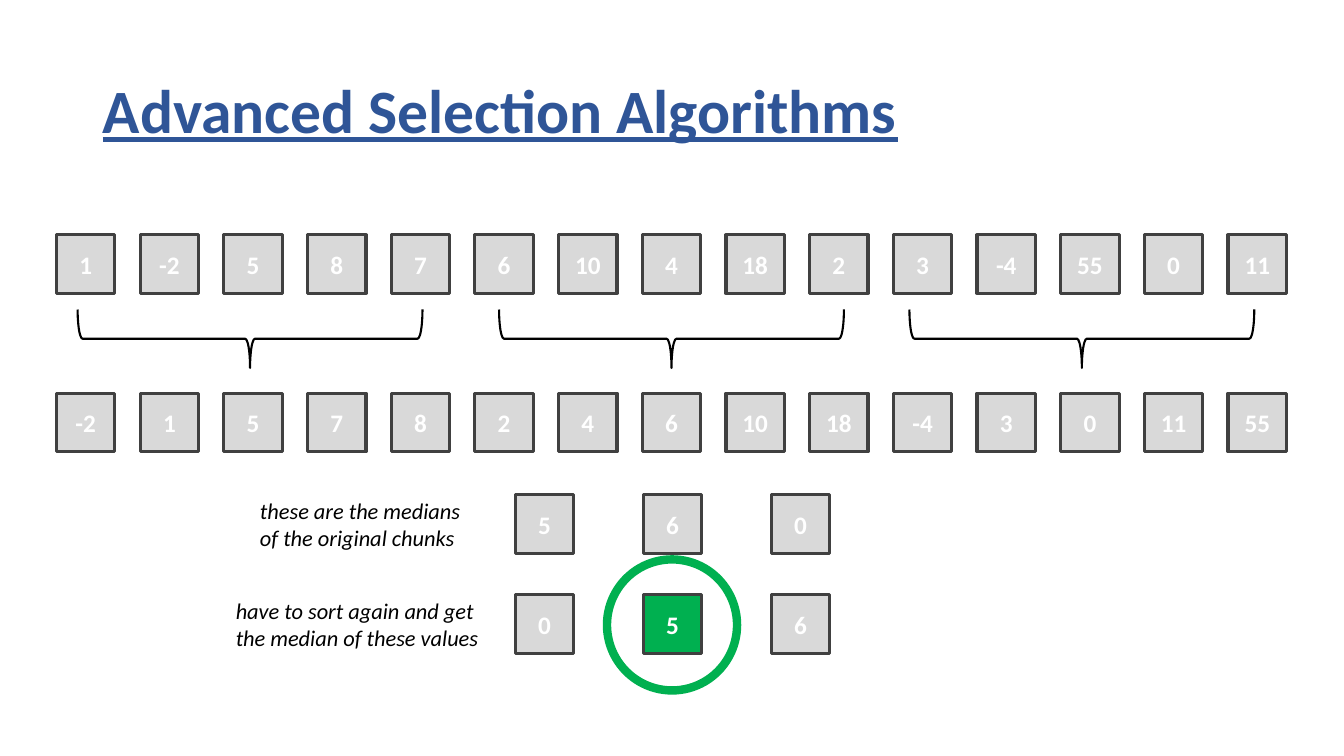
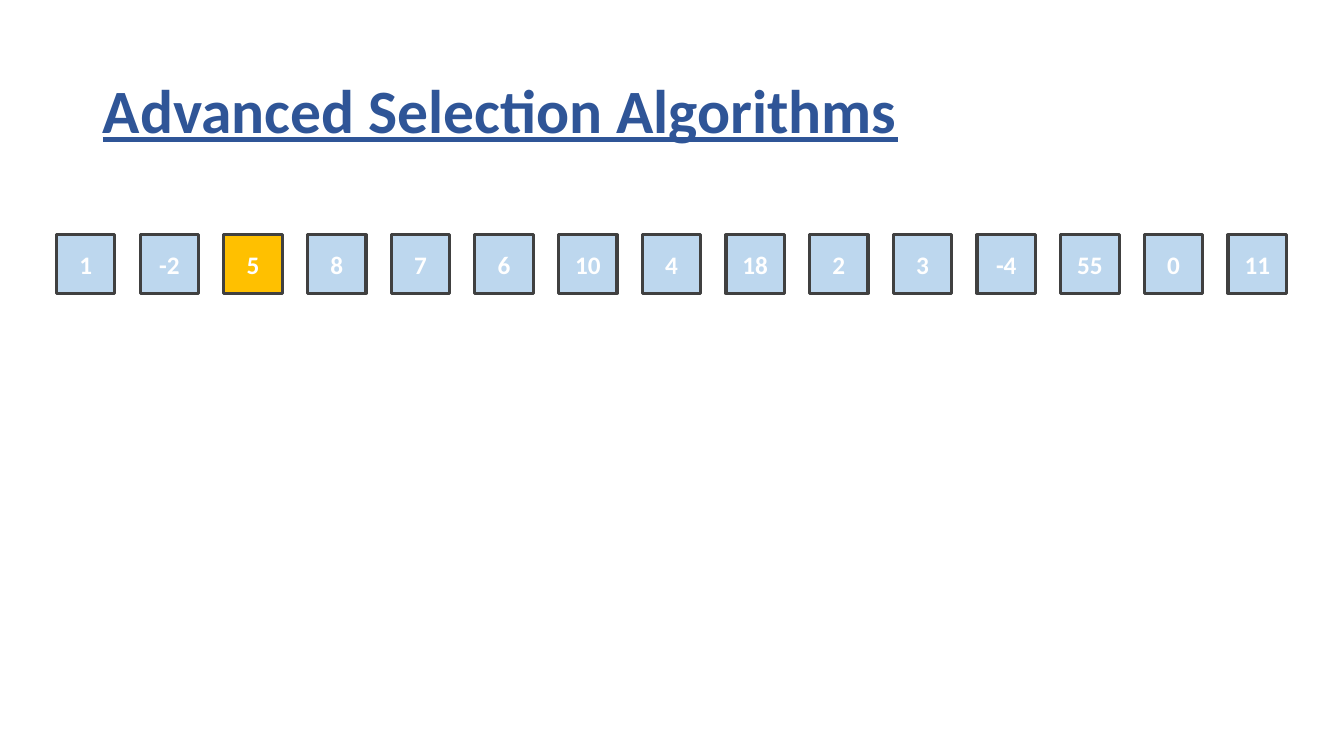
import pptx
import pptx.dml.color
import pptx.enum.shapes
import pptx.enum.text
import pptx.util

Inches = pptx.util.Inches
Pt = pptx.util.Pt
MSO_SHAPE = pptx.enum.shapes.MSO_SHAPE
PP_ALIGN = pptx.enum.text.PP_ALIGN
MSO_ANCHOR = pptx.enum.text.MSO_ANCHOR
MSO_AUTO_SIZE = pptx.enum.text.MSO_AUTO_SIZE

COLORS = {
    "title": "2F5597",
    "text": "000000",
    "white": "FFFFFF",
    "border": "404040",
    "gray": "D9D9D9",
    "blue": "BDD7EE",
    "green": "00B050",
    "gold": "FFC000",
}
FONT = "Calibri"
TITLE = "Advanced Selection Algorithms"

CELL = 0.58
ROW_LEFT, ROW_PITCH = 0.56, 0.83
MEDIAN_LEFT, MEDIAN_PITCH = 5.11, 1.27
INPUT_TOP = 2.33

VALUES = [1, -2, 5, 8, 7, 6, 10, 4, 18, 2, 3, -4, 55, 0, 11]
SORTED_CHUNKS = [-2, 1, 5, 7, 8, 2, 4, 6, 10, 18, -4, 3, 0, 11, 55]


def rgb(name):
    return pptx.dml.color.RGBColor.from_string(COLORS[name])


class Deck:
    """Holds the shared style and the current slide."""

    def __init__(self):
        self.prs = pptx.Presentation()
        self.prs.slide_width = Inches(13.33)
        self.prs.slide_height = Inches(7.5)
        self.slide = None

    def style(self, p, size, color, **flags):
        p.font.name = FONT
        p.font.size = Pt(size)
        p.font.color.rgb = rgb(color)
        for flag, value in flags.items():
            setattr(p.font, flag, value)

    def add_slide(self, title):
        self.slide = self.prs.slides.add_slide(self.prs.slide_layouts[5])
        sp = self.slide.shapes.title
        sp.left, sp.top = Inches(0.92), Inches(0.4)
        sp.width, sp.height = Inches(11.5), Inches(1.45)
        tf = sp.text_frame
        tf.text = title
        tf.auto_size = MSO_AUTO_SIZE.NONE
        tf.vertical_anchor = MSO_ANCHOR.MIDDLE
        p = tf.paragraphs[0]
        p.alignment = PP_ALIGN.LEFT
        p.line_spacing = 0.9
        self.style(p, 44, "title", bold=True, underline=True)

    def shape(self, kind, left, top, width, height, line, weight, fill=None):
        sp = self.slide.shapes.add_shape(
            kind, Inches(left), Inches(top), Inches(width), Inches(height))
        sp.shadow.inherit = False
        if fill:
            sp.fill.solid()
            sp.fill.fore_color.rgb = rgb(fill)
        else:
            sp.fill.background()
        sp.line.color.rgb = rgb(line)
        sp.line.width = Pt(weight)
        return sp

    def cell(self, value, left, top, fill):
        sp = self.shape(MSO_SHAPE.RECTANGLE, left, top, CELL, CELL,
                        "border", 2.25, fill)
        tf = sp.text_frame
        tf.text = str(value)
        tf.vertical_anchor = MSO_ANCHOR.MIDDLE
        p = tf.paragraphs[0]
        p.alignment = PP_ALIGN.CENTER
        self.style(p, 18, "white", bold=True)

    def row(self, values, top, fill="gray", left=ROW_LEFT, pitch=ROW_PITCH,
            marked=None, mark_fill=None):
        for i, value in enumerate(values):
            self.cell(value, left + i * pitch, top,
                      mark_fill if i == marked else fill)

    def brace(self, left):
        sp = self.shape(MSO_SHAPE.LEFT_BRACE, left, 1.65, CELL, 3.42,
                        "text", 1.5)
        sp.rotation = 270

    def note(self, lines, left, top, width):
        sp = self.slide.shapes.add_textbox(
            Inches(left), Inches(top), Inches(width), Inches(0.64))
        tf = sp.text_frame
        tf.word_wrap = False
        tf.auto_size = MSO_AUTO_SIZE.SHAPE_TO_FIT_TEXT
        tf.text = "\n".join(lines)
        for p in tf.paragraphs:
            self.style(p, 16, "text", italic=True)

    def ring(self, left, top, width, height):
        self.shape(MSO_SHAPE.OVAL, left, top, width, height, "green", 6)


def median_slide(deck):
    deck.add_slide(TITLE)

    # Input split into chunks of five, then each chunk sorted
    deck.row(VALUES, INPUT_TOP)
    for left in (2.19, 6.37, 10.44):
        deck.brace(left)
    deck.row(SORTED_CHUNKS, 3.9)

    # Medians of the chunks
    deck.row([5, 6, 0], 4.91, left=MEDIAN_LEFT, pitch=MEDIAN_PITCH)
    deck.note(["these are the medians", "of the original chunks"],
              2.48, 4.88, 2.21)

    # Median of the medians
    deck.row([0, 5, 6], 5.9, left=MEDIAN_LEFT, pitch=MEDIAN_PITCH,
             marked=1, mark_fill="green")
    deck.note(["have to sort again and get", "the median of these values"],
              2.24, 5.88, 2.67)
    deck.ring(6.02, 5.55, 1.29, 1.3)


def pivot_slide(deck):
    deck.add_slide(TITLE)

    # Input with the chosen pivot marked
    deck.row(VALUES, INPUT_TOP, fill="blue",
             marked=VALUES.index(5), mark_fill="gold")


def main():
    deck = Deck()
    median_slide(deck)
    pivot_slide(deck)
    deck.prs.save("out.pptx")


if __name__ == "__main__":
    main()
